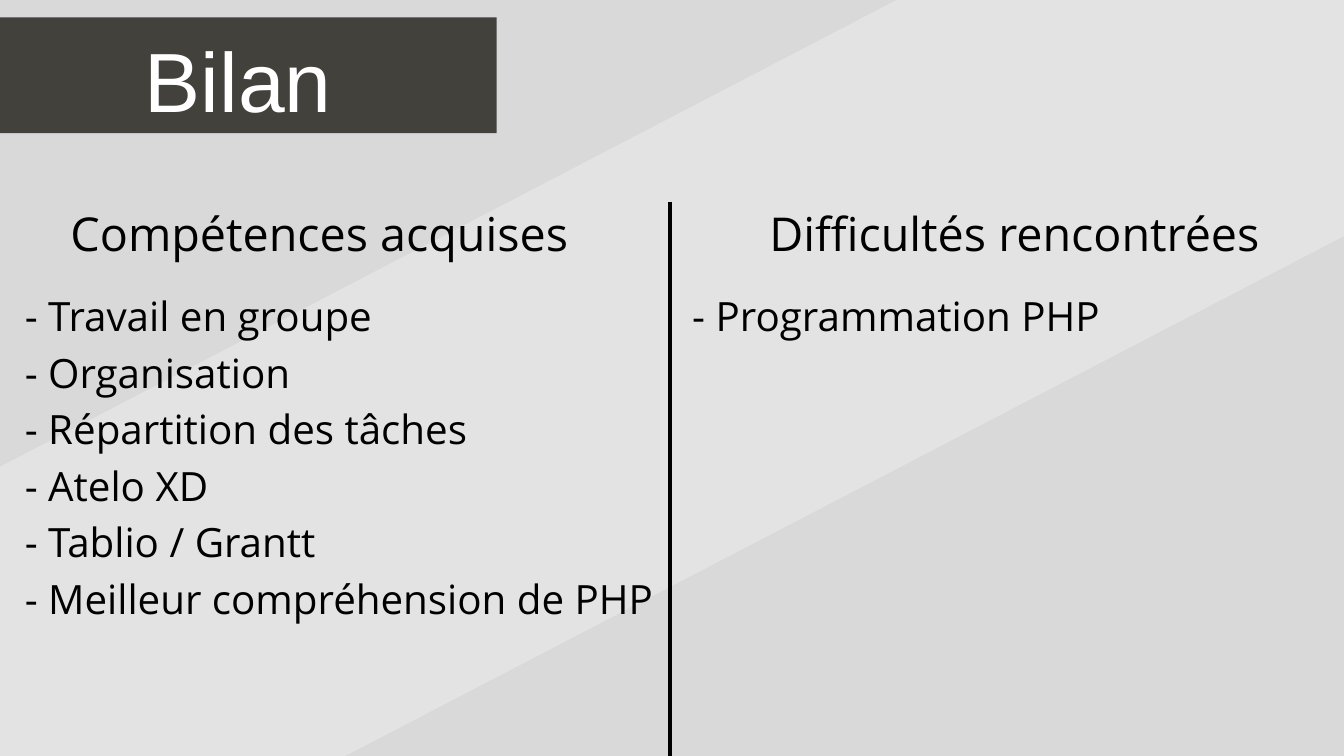
from lxml import etree
from pptx import Presentation
from pptx.dml.color import RGBColor
from pptx.enum.shapes import MSO_CONNECTOR, MSO_SHAPE
from pptx.enum.text import MSO_ANCHOR, MSO_AUTO_SIZE, PP_ALIGN
from pptx.oxml.ns import qn
from pptx.util import Pt

PX = 9144
WIDTH, HEIGHT = 2000, 1125
TITLE_ONLY = 5
RECTANGLE, STRAIGHT = MSO_SHAPE.RECTANGLE, MSO_CONNECTOR.STRAIGHT
TOP, NO_FIT = MSO_ANCHOR.TOP, MSO_AUTO_SIZE.NONE
LEFT, CENTER = PP_ALIGN.LEFT, PP_ALIGN.CENTER

GREY = RGBColor(0xD9, 0xD9, 0xD9)
DARK = RGBColor(0x42, 0x41, 0x3B)
WHITE = RGBColor(0xFF, 0xFF, 0xFF)
BLACK = RGBColor(0x00, 0x00, 0x00)

TITLE = {"name": "Arial", "size": Pt(90), "color": WHITE, "align": CENTER, "spacing": Pt(126)}
HEADING = {"name": "Open Sans", "size": Pt(50), "color": BLACK, "align": CENTER, "spacing": Pt(70)}
ITEM = {"name": "Open Sans", "size": Pt(43.2), "color": BLACK, "align": LEFT, "spacing": Pt(60.5)}

SKILLS = ["Travail en groupe", "Organisation", "Répartition des tâches",
          "Atelo XD", "Tablio / Grantt", "Meilleur compréhension de PHP"]
DIFFICULTIES = ["Programmation PHP"]


def px(*lengths):
    """Turn px lengths into EMU."""
    return [n * PX for n in lengths]


def write(sp, lines, style):
    """Fill a text shape with one styled paragraph per line."""
    tf = sp.text_frame
    frame = {"word_wrap": True, "auto_size": NO_FIT, "vertical_anchor": TOP,
             "margin_left": 0, "margin_top": 0, "margin_right": 0, "margin_bottom": 0}
    for key, value in frame.items():
        setattr(tf, key, value)
    tf.text = "\n".join(lines)
    for p in tf.paragraphs:
        p.alignment, p.line_spacing = style["align"], style["spacing"]
        font = p.runs[0].font
        for key in ("name", "size"):
            setattr(font, key, style[key])
        font.color.rgb = style["color"]


def add_text(s, box, lines, style):
    """Add a text box with styled lines."""
    write(s.shapes.add_textbox(*px(*box)), lines, style)


def add_block(s, box, color):
    """Add a flat rectangle without outline."""
    sp = s.shapes.add_shape(RECTANGLE, *px(*box))
    sp.shadow.inherit = False
    sp.fill.solid()
    sp.fill.fore_color.rgb = color
    sp.line.fill.background()
    return sp


def add_background(s):
    """Paint the slide grey with a translucent diagonal band."""
    s.background.fill.solid()
    s.background.fill.fore_color.rgb = GREY
    band = add_block(s, (-292, 253, 2432, 619), WHITE)
    band.rotation = 332.5
    color = band._element.spPr.find(".//" + qn("a:srgbClr"))
    etree.SubElement(color, qn("a:alpha")).set("val", "28000")


def add_banner(s, x, y, w, h):
    """Place the title on a dark bar."""
    add_block(s, (x, y, w, h), DARK)
    title = s.shapes.title
    title.left, title.top, title.width, title.height = px(x - 15, y - 8, w, h - 2)
    write(title, ["Bilan"], TITLE)
    s.shapes._spTree.append(title._element)


def add_divider(s, x, y, h):
    """Draw the vertical rule between the columns."""
    rule = s.shapes.add_connector(STRAIGHT, *px(x, y, x, y + h))
    rule.line.color.rgb = BLACK
    rule.line.width = Pt(3.75)
    etree.SubElement(rule._element.spPr, qn("a:effectLst"))


def add_column(s, x, y, w, inset, heading_w, heading, items):
    """Place a centred heading above a dashed list."""
    add_text(s, (x + inset, y, heading_w, 94), [heading], HEADING)
    add_text(s, (x, y + 131, w, 84 * len(items)), [f"- {item}" for item in items], ITEM)


def main():
    """Build and save the slide."""
    prs = Presentation()
    prs.slide_width, prs.slide_height = px(WIDTH, HEIGHT)
    s = prs.slides.add_slide(prs.slide_layouts[TITLE_ONLY])
    add_background(s)
    add_banner(s, 0, 26, 739, 172)
    add_divider(s, 997, 300, 847)
    add_column(s, 37, 291, 937, 31, 815, "Compétences acquises", SKILLS)
    add_column(s, 1030, 291, 609, 67, 826, "Difficultés rencontrées", DIFFICULTIES)
    prs.save("out.pptx")


if __name__ == "__main__":
    main()
